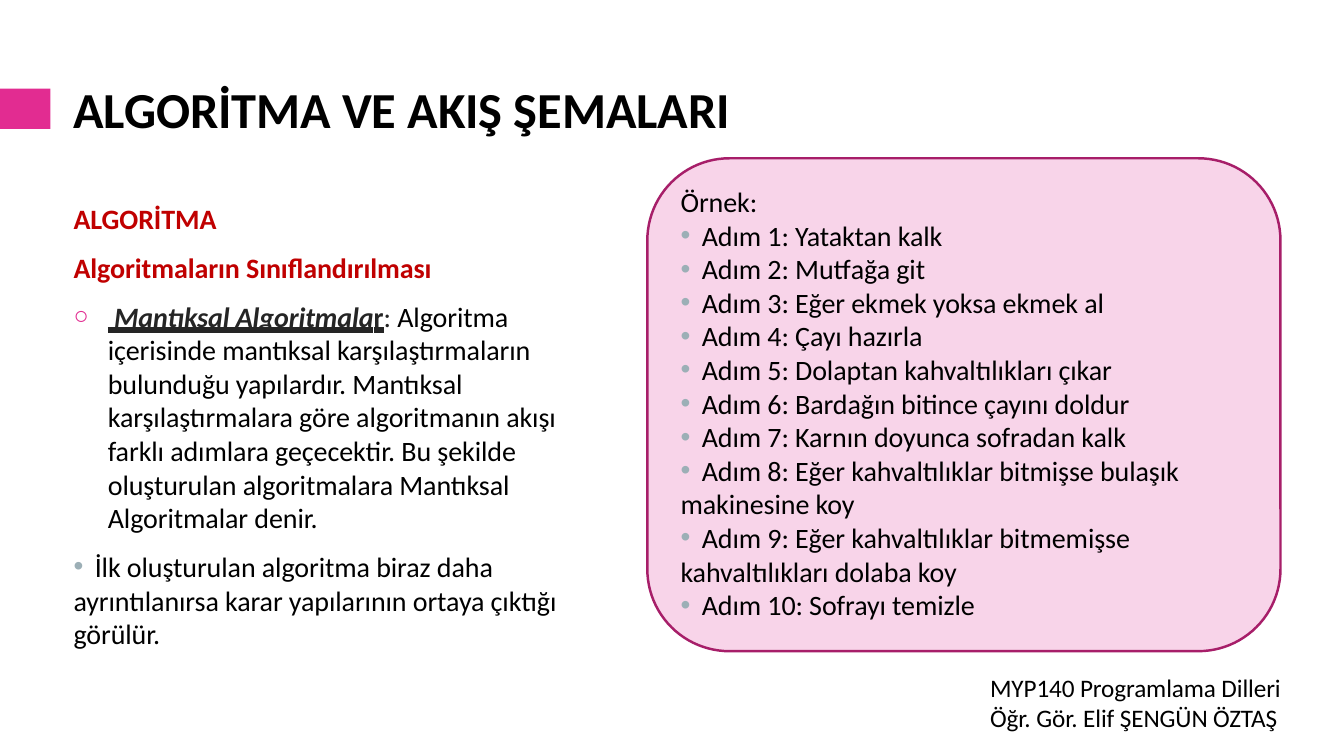
from dataclasses import dataclass

from lxml import etree
from pptx import Presentation, util as u
from pptx.dml.color import RGBColor
from pptx.enum import shapes, text
from pptx.oxml import ns


@dataclass(frozen=True)
class Theme:
    """Colours, fonts and type sizes of the slide."""
    font: str = "Calibri"
    bullet_font: str = "Arial"
    black: str = "000000"
    dark: str = "252525"
    red: str = "C00000"
    pink: str = "E22C91"
    pale_pink: str = "F8D4E9"
    outline: str = "A71E69"
    grey: str = "9CAFB6"
    title: int = 36
    body: int = 20
    footer: int = 18


THEME = Theme()

STEPS = [
    ("Yataktan kalk", ""),
    ("Mutfağa git", ""),
    ("Eğer ekmek yoksa ekmek al", ""),
    ("Çayı hazırla", ""),
    ("Dolaptan kahvaltılıkları çıkar", ""),
    ("Bardağın bitince çayını doldur", ""),
    ("Karnın doyunca sofradan kalk", ""),
    ("Eğer kahvaltılıklar bitmişse bulaşık", "makinesine koy"),
    ("Eğer kahvaltılıklar bitmemişse", "kahvaltılıkları dolaba koy"),
    ("Sofrayı temizle", ""),
]


def add_block(page, kind, left, top, width, height, fill, line=None):
    """Add a filled shape, outlined when a line colour is given."""
    block = page.shapes.add_shape(kind, *map(u.Inches, (left, top, width, height)))
    block.shadow.inherit = False
    block.fill.solid()
    block.fill.fore_color.rgb = RGBColor.from_string(fill)
    if line:
        block.line.color.rgb = RGBColor.from_string(line)
        block.line.width = u.Pt(1.75)
    else:
        block.line.fill.background()


def add_frame(page, left, top, width, height, inset=0.0):
    """Add a wrapping text box and return its text frame."""
    box = page.shapes.add_textbox(*map(u.Inches, (left, top, width, height)))
    frame = box.text_frame
    frame.word_wrap = True
    frame.margin_left = frame.margin_right = frame.margin_bottom = 0
    frame.margin_top = u.Inches(inset)
    return frame


def style_span(span, size, color=THEME.black, bold=False, italic=False, underline=None):
    """Format one run of text."""
    font = span.font
    font.name, font.size = THEME.font, u.Pt(size)
    font.bold, font.italic, font.underline = bold, italic, underline
    font.color.rgb = RGBColor.from_string(color)
    span._r.get_or_add_rPr().set("spc", "-8")


def add_para(frame, words, size=THEME.body, before=0.0, margin=0.01, indent=0.0, **style):
    """Write the next paragraph of a frame and return it."""
    first = frame.paragraphs[0]
    para = frame.add_paragraph() if first.text else first
    para.text = words
    para.space_before = u.Pt(before)
    properties = para._p.get_or_add_pPr()
    properties.set("marL", str(u.Inches(margin)))
    properties.set("indent", str(u.Inches(indent)))
    style_span(para.runs[0], size, **style)
    return para


def set_bullet(para, mark, color, percent=100):
    """Give a paragraph a coloured bullet."""
    properties = para._p.get_or_add_pPr()
    holder = etree.SubElement(properties, ns.qn("a:buClr"))
    etree.SubElement(holder, ns.qn("a:srgbClr"), val=color)
    etree.SubElement(properties, ns.qn("a:buSzPct"), val=str(percent * 1000))
    etree.SubElement(properties, ns.qn("a:buFont"), typeface=THEME.bullet_font)
    etree.SubElement(properties, ns.qn("a:buChar"), char=mark)


def add_item(frame, words, rest="", before=0.0):
    """Add a bulleted line whose continuation returns to the margin."""
    set_bullet(add_para(frame, words, before=before, margin=0.22, indent=-0.21), "•", THEME.grey)
    if rest:
        add_para(frame, rest)


def add_definition(frame):
    """Add the paragraph that defines logical algorithms."""
    heavy = text.MSO_UNDERLINE.HEAVY_LINE
    para = add_para(frame, " Mantıksal Algoritmala", before=10.8, margin=0.35, indent=-0.34,
                    color=THEME.dark, bold=True, italic=True, underline=heavy)
    set_bullet(para, "○", THEME.pink, 90)
    spans = [
        ("r", {"color": THEME.dark, "bold": True, "underline": heavy}),
        (": ", {"color": THEME.dark}),
        ("Algoritma içerisinde mantıksal karşılaştırmaların bulunduğu yapılardır. "
         "Mantıksal karşılaştırmalara göre algoritmanın akışı farklı adımlara geçecektir. "
         "Bu şekilde oluşturulan algoritmalara Mantıksal Algoritmalar denir.", {}),
    ]
    for words, style in spans:
        span = para.add_run()
        span.text = words
        style_span(span, THEME.body, **style)


def add_explanation(page):
    """Fill the left column."""
    frame = add_frame(page, 0.72, 1.84, 4.87, 4.63, 0.16)
    add_para(frame, "ALGORİTMA", before=11.8, color=THEME.red, bold=True)
    add_para(frame, "Algoritmaların Sınıflandırılması", before=10.8, color=THEME.red, bold=True)
    add_definition(frame)
    add_item(frame, "İlk oluşturulan algoritma biraz daha",
             "ayrıntılanırsa karar yapılarının ortaya çıktığı görülür.", 10.8)


def add_example(page):
    """Draw the example panel with its numbered steps."""
    add_block(page, shapes.MSO_SHAPE.ROUNDED_RECTANGLE, 6.42, 1.57, 6.28, 4.89,
              THEME.pale_pink, THEME.outline)
    frame = add_frame(page, 6.74, 1.82, 5.01, 4.36, 0.01)
    add_para(frame, "Örnek:", before=1.1)
    for number, (words, rest) in enumerate(STEPS, 1):
        add_item(frame, f"Adım {number}: {words}", rest)


def add_footer(page):
    """Write the course and lecturer lines."""
    frame = add_frame(page, 9.81, 6.72, 2.94, 0.58)
    course = add_para(frame, "MYP140 Programlama Dilleri", THEME.footer)
    course.line_spacing = u.Pt(18.1)
    add_para(frame, "Öğr. Gör. Elif ŞENGÜN ÖZTAŞ", THEME.footer)


def main():
    """Build and save the slide."""
    deck = Presentation()
    deck.slide_width, deck.slide_height = u.Inches(13.33), u.Inches(7.5)
    page = deck.slides.add_slide(deck.slide_layouts[6])
    add_block(page, shapes.MSO_SHAPE.RECTANGLE, 0, 0.88, 0.5, 0.4, THEME.pink)
    title = add_frame(page, 0.72, 0.77, 6.57, 0.63, 0.01)
    add_para(title, "ALGORİTMA VE AKIŞ ŞEMALARI", THEME.title, before=1, bold=True)
    add_explanation(page)
    add_example(page)
    add_footer(page)
    deck.save("out.pptx")


if __name__ == "__main__":
    main()
